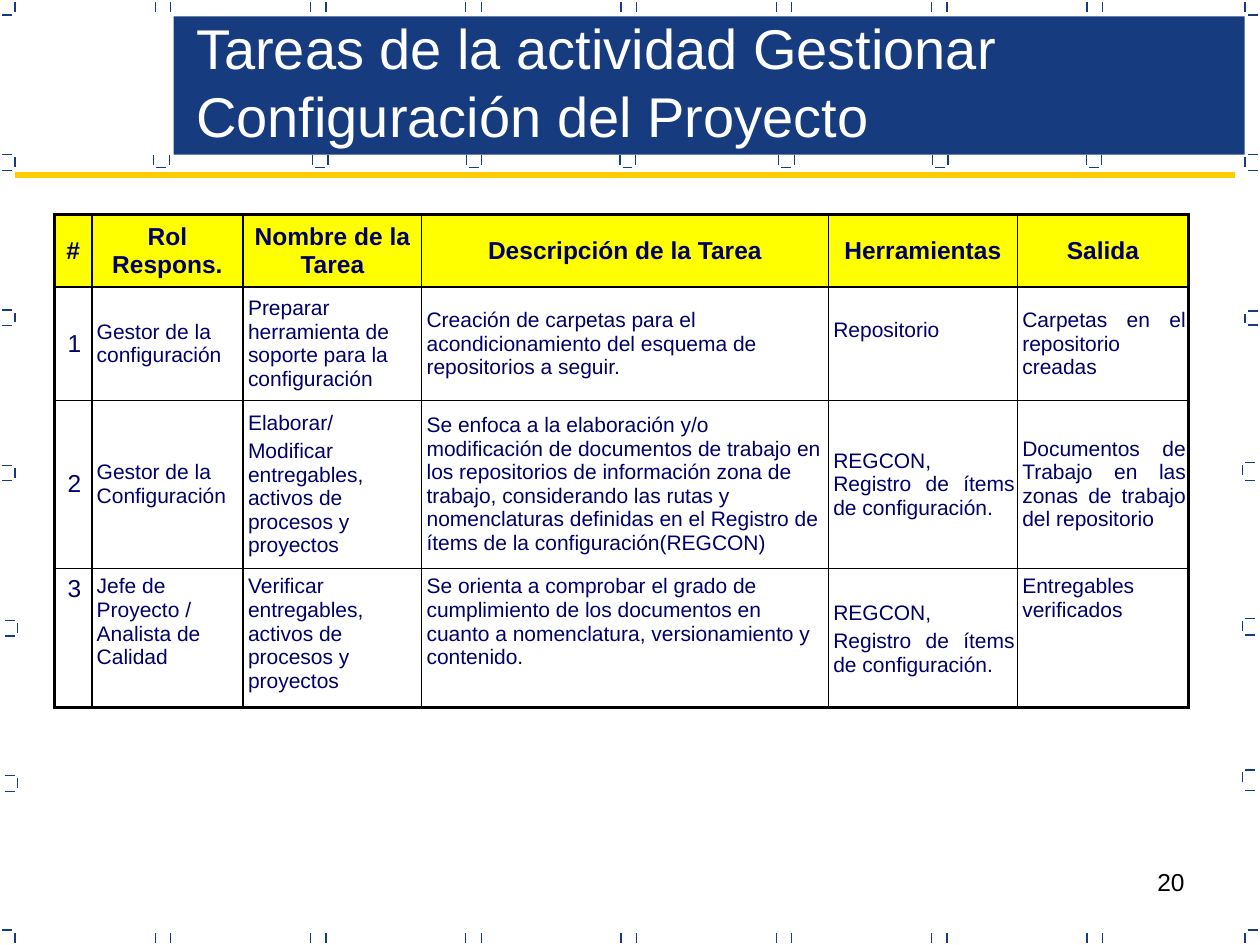
from lxml import etree
from pptx import Presentation
from pptx.dml.color import RGBColor
from pptx.enum.shapes import MSO_CONNECTOR, MSO_SHAPE
from pptx.enum.text import MSO_ANCHOR, PP_ALIGN
from pptx.oxml.ns import qn
from pptx.util import Cm, Pt

LINE, RECT = MSO_CONNECTOR.STRAIGHT, MSO_SHAPE.RECTANGLE
TOP, MID = MSO_ANCHOR.TOP, MSO_ANCHOR.MIDDLE
LEFT, RIGHT = PP_ALIGN.LEFT, PP_ALIGN.RIGHT
CENTER, JUST = PP_ALIGN.CENTER, PP_ALIGN.JUSTIFY

NAVY, GOLD, INK = "163B7F", "FFCC00", "000066"
BLACK, WHITE, YELLOW = "000000", "FFFFFF", "FFFF00"
FONT = "Arial"
STEP, GAP, TICK = 3.13, 0.31, 0.2

COLS = [0.75, 3.05, 3.6, 8.2, 3.81, 3.45]
ROWS = [1.47, 2.28, 3.39, 2.8]
ALIGN = [CENTER, LEFT, LEFT, LEFT, JUST, JUST]
# A newline starts a paragraph, a vertical tab breaks a line.
TASKS = [
    ["#", "Rol Respons.", "Nombre de la Tarea", "Descripción de la Tarea",
     "Herramientas", "Salida"],
    ["1", "Gestor de la configuración",
     "Preparar herramienta de soporte para la configuración",
     "Creación de carpetas para el acondicionamiento del esquema de "
     "repositorios a seguir.",
     "Repositorio", "Carpetas en el repositorio creadas"],
    ["2", "Gestor de la Configuración",
     "Elaborar/\nModificar entregables, activos de procesos y proyectos",
     "Se enfoca a la elaboración y/o modificación de documentos de trabajo "
     "en los repositorios de información zona de trabajo, considerando las "
     "rutas y nomenclaturas definidas en el Registro de ítems de la "
     "configuración(REGCON)",
     "REGCON,\vRegistro de ítems de configuración.",
     "Documentos de Trabajo en las zonas de trabajo del repositorio"],
    ["3", "Jefe de Proyecto / Analista de Calidad",
     "Verificar entregables, activos de procesos y proyectos",
     "Se orienta a comprobar el grado de cumplimiento de los documentos en "
     "cuanto a nomenclatura, versionamiento y contenido.",
     "REGCON,\nRegistro de ítems de configuración.",
     "Entregables verificados"],
]


def paint(color):
    """Turn a hex string into a colour."""
    return RGBColor.from_string(color)


def add_run(para, text, size, color, bold=False):
    """Add one formatted run to a paragraph."""
    run = para.add_run()
    run.text = text
    font = run.font
    font.name, font.size, font.bold = FONT, Pt(size), bold
    font.color.rgb = paint(color)


def add_line(slide, x1, y1, x2, y2, color=NAVY, width=0.75):
    """Draw a straight line without shadow."""
    line = slide.shapes.add_connector(LINE, Cm(x1), Cm(y1), Cm(x2), Cm(y2))
    line.line.color.rgb = paint(color)
    line.line.width = Pt(width)
    etree.SubElement(line._element.spPr, qn("a:effectLst"))


def add_pair(slide, x, y):
    """Draw two upright ticks, the left one at x."""
    for pos in (x, x + GAP):
        add_line(slide, pos, y + TICK, pos, y)


def add_dash(slide, x, y, side):
    """Draw a flat tick on one side of x: -1 left, 1 right."""
    near, far = x + side * 0.05, x + side * 0.25
    add_line(slide, min(near, far), y, max(near, far), y)


def add_hook(slide, x, y, foot, side):
    """Draw an upright tick below y, closed by flat ticks at y and foot."""
    add_line(slide, x, y + 0.05 + TICK, x, y + 0.05)
    add_dash(slide, x, y, side)
    add_dash(slide, x, foot, side)


def add_frame(slide):
    """Draw the tick marks around the slide and below the band."""
    for i in range(7):
        for y in (0.05, 18.8):
            add_pair(slide, 3.13 + STEP * i, y)
    for x in (3.1, 6.3, 9.4, 12.5, 15.7, 18.8, 21.9):
        add_pair(slide, x, 3.12)
        add_line(slide, x + 0.05, 3.38, x + 0.25, 3.38)
    for x, side in ((0.3, -1), (25.1, 1)):
        for y, dash in ((0.05, 0.3), (18.8, 18.75)):
            add_line(slide, x, y + TICK, x, y)
            add_dash(slide, x, dash, side)
    for i, x in enumerate((0.3, 0.3, 0.3, 0.35, 0.35)):
        y = 3.12 + STEP * i
        add_hook(slide, x, y, y + GAP, -1)
    for x, y, foot in ((25.1, 3.12, 3.43), (25.1, 6.27, 6.55),
                       (25.05, 9.32, 9.68), (25.05, 12.47, 12.8),
                       (25.05, 15.52, 15.93)):
        add_hook(slide, x, y, foot, 1)


def add_head(slide, x, y, w, h):
    """Draw the band with the title on it and the gold rule below."""
    band = slide.shapes.add_shape(RECT, Cm(x), Cm(y), Cm(w), Cm(h))
    band.shadow.inherit = False
    band.fill.solid()
    band.fill.fore_color.rgb = paint(NAVY)
    band.line.fill.background()
    title = slide.shapes.title
    title.left, title.top = Cm(x + 0.2), Cm(y - 0.18)
    title.width, title.height = Cm(w - 0.58), Cm(h + 0.18)
    slide.shapes._spTree.append(title._element)
    frame = title.text_frame
    frame.word_wrap, frame.vertical_anchor = True, MID
    para = frame.paragraphs[0]
    para.alignment = LEFT
    add_run(para, "Tareas de la actividad Gestionar Configuración del Proyecto",
            32, WHITE)
    add_line(slide, 0.3, 3.53, 24.9, 3.53, GOLD, 3)


def set_edge(cell, side, width):
    """Give one side of a cell a black border."""
    edge = etree.SubElement(cell._tc.get_or_add_tcPr(), qn("a:ln" + side),
                            w=str(Pt(width)))
    fill = etree.SubElement(edge, qn("a:solidFill"))
    etree.SubElement(fill, qn("a:srgbClr"), val=BLACK)


def fill_cell(cell, text, row, col):
    """Format a cell by its place in the table and write its text."""
    head, last = row == 0, row == len(ROWS) - 1
    outer = {"L": col == 0, "R": col == len(COLS) - 1, "T": head, "B": last}
    for side, thick in outer.items():
        set_edge(cell, side, 2.25 if thick else 1)
    if head:
        cell.fill.solid()
        cell.fill.fore_color.rgb = paint(YELLOW)
    else:
        cell.fill.background()
    cell.vertical_anchor = TOP if last else MID
    cell.margin_left, cell.margin_right = (0, 0) if head else (Cm(0.1), Cm(0.05))
    cell.margin_top = Cm(0.67 if last and col == 4 else 0.13)
    cell.margin_bottom = Cm(0.67 if row == 1 and col == 4 else 0.13)
    size = 14 if head or col == 0 else 12
    frame = cell.text_frame
    for i, part in enumerate(text.split("\n")):
        para = frame.add_paragraph() if i else frame.paragraphs[0]
        para.alignment = CENTER if head else ALIGN[col]
        para.space_before = Pt(size * 0.2)
        for j, piece in enumerate(part.split("\v")):
            if j:
                para.add_line_break()
            add_run(para, piece, size, INK, head)


def add_tasks(slide, x, y):
    """Build the task table with its corner at x, y."""
    table = slide.shapes.add_table(len(ROWS), len(COLS), Cm(x), Cm(y),
                                   Cm(sum(COLS)), Cm(sum(ROWS))).table
    table.first_row = table.horz_banding = False
    for col, width in zip(table.columns, COLS):
        col.width = Cm(width)
    for row, height in zip(table.rows, ROWS):
        row.height = Cm(height)
    for r, texts in enumerate(TASKS):
        for c, text in enumerate(texts):
            fill_cell(table.cell(r, c), text, r, c)


def add_page(slide, x, y, w, h):
    """Write the page number at the right of its box."""
    frame = slide.shapes.add_textbox(Cm(x), Cm(y), Cm(w), Cm(h)).text_frame
    frame.word_wrap = True
    para = frame.paragraphs[0]
    para.alignment = RIGHT
    add_run(para, "20", 14, BLACK)


def main():
    """Build the slide and save it."""
    deck = Presentation()
    deck.slide_width, deck.slide_height = Cm(25.4), Cm(19.05)
    slide = deck.slides.add_slide(deck.slide_layouts[5])
    add_page(slide, 18.2, 17.35, 5.93, 1.32)
    add_frame(slide)
    add_head(slide, 3.5, 0.33, 21.59, 2.79)
    add_tasks(slide, 1.1, 4.32)
    deck.save("out.pptx")


main()
